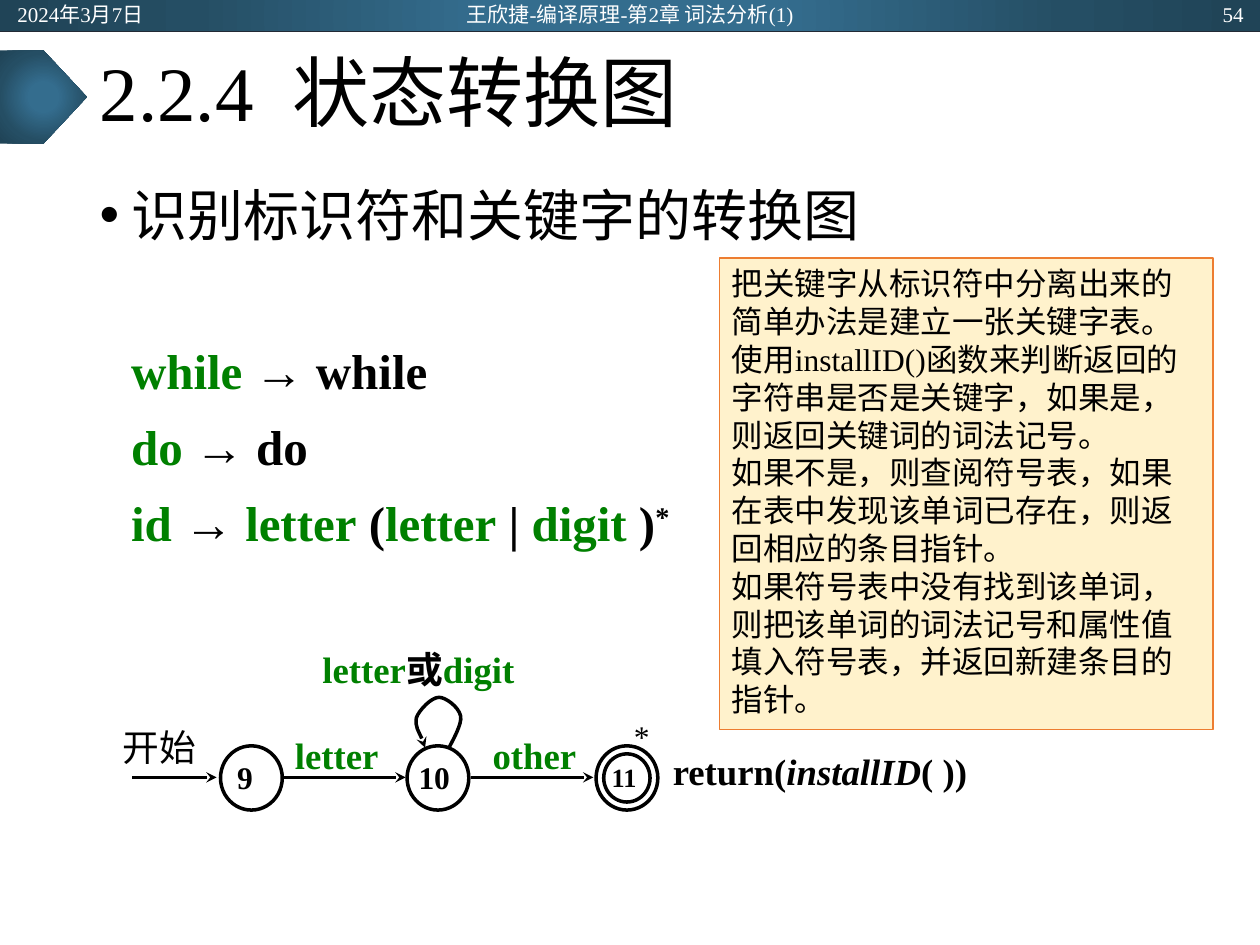
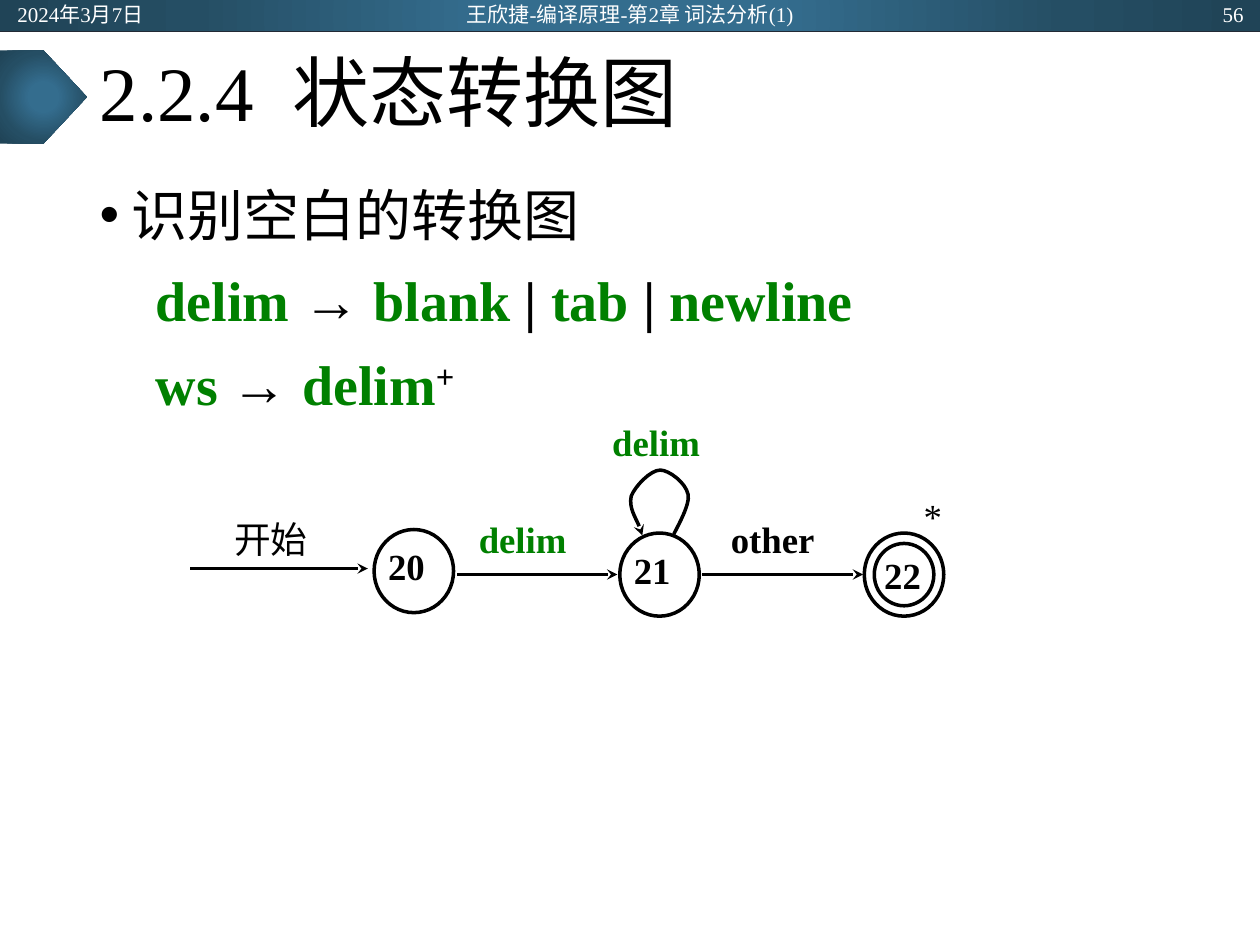
from lxml.etree import SubElement
from pptx import Presentation
from pptx.dml.color import RGBColor
from pptx.enum.shapes import MSO_CONNECTOR, MSO_SHAPE
from pptx.enum.text import MSO_ANCHOR, MSO_AUTO_SIZE, PP_ALIGN
from pptx.oxml import parse_xml
from pptx.oxml.ns import nsdecls, qn
from pptx.util import Pt

COLORS = {
    "text": "000000", "token": "008000", "white": "FFFFFF", "rule": "222A35",
    "note": "FFF2CC", "note_line": "ED7D31",
    "band_light": "346D8E", "band_mid": "254E64", "band_dark": "204457",
}
BAND_STOPS = [(0, "band_light"), (23, "band_light"), (69, "band_mid"), (97, "band_dark")]
TITLE = ["2.2.4", (" ", {"spc": "1100"}), "状态转换图"]
# Self-loop in a unit box: a start point, then three points per Bezier curve.
LOOP = [(.73, .98), (.78, .88), (1, .52), (.96, .37), (.92, .19), (.65, 0), (.51, 0),
        (.35, 0), (.1, .25), (.04, .4), (0, .58), (.2, .87), (.22, 1)]
LABEL_INSETS = (2.9, 1.4, 2.9, 1.4)
STATE_INSETS = (1.4, 1.4, 1.4, 2.9)
ACCEPT_INSETS = (.7, 0, .7, 0)


def rgb(name):
    return RGBColor.from_string(COLORS[name])


def token(text):
    """A run in the colour of grammar symbols."""
    return text, {"color": "token"}


def raised(text):
    return text, {"baseline": "30000"}


class Deck:
    """Holds the presentation style and the slide being drawn."""

    def __init__(self):
        self.prs = Presentation()
        self.prs.slide_width, self.prs.slide_height = Pt(720), Pt(540)
        self.s = None

    def add_runs(self, p, runs, **base):
        for run in [runs] if isinstance(runs, str) else runs:
            text, extra = (run, {}) if isinstance(run, str) else run
            r = p.add_run()
            r.text = text
            fmt = {"name": "Times New Roman", "color": "text", **base, **extra}
            for key, value in fmt.items():
                if key == "color":
                    r.font.color.rgb = rgb(value)
                elif key in ("spc", "baseline"):
                    r._r.get_or_add_rPr().set(key, value)
                else:
                    setattr(r.font, key, value)

    def frame(self, sp, insets=(7.2, 3.6, 7.2, 3.6), anchor=MSO_ANCHOR.TOP):
        tf = sp.text_frame
        sides = ("left", "top", "right", "bottom")
        fmt = {"word_wrap": True, "auto_size": MSO_AUTO_SIZE.NONE, "vertical_anchor": anchor,
               **{f"margin_{side}": Pt(v) for side, v in zip(sides, insets)}}
        for key, value in fmt.items():
            setattr(tf, key, value)
        return tf

    def shape(self, kind, x, y, w, h, fill=None, line=None, width=2):
        sp = self.s.shapes.add_shape(kind, Pt(x), Pt(y), Pt(w), Pt(h))
        return self.paint(sp, fill, line, width)

    def paint(self, sp, fill=None, line=None, width=2):
        sp.shadow.inherit = False
        if fill:
            sp.fill.solid()
            sp.fill.fore_color.rgb = rgb(fill)
        else:
            sp.fill.background()
        if line:
            sp.line.color.rgb = rgb(line)
            sp.line.width = Pt(width)
        else:
            sp.line.fill.background()
        return sp

    def glow(self, kind, x, y, w, h):
        """A shape with the radial blue gradient of the header."""
        spPr = self.shape(kind, x, y, w, h)._element.spPr
        stops = "".join(f'<a:gs pos="{pos * 1000}"><a:srgbClr val="{COLORS[c]}"/></a:gs>'
                        for pos, c in BAND_STOPS)
        spPr.replace(spPr.find(qn("a:noFill")), parse_xml(
            f'<a:gradFill {nsdecls("a")}><a:gsLst>{stops}</a:gsLst><a:path path="circle">'
            '<a:fillToRect l="50000" t="50000" r="50000" b="50000"/></a:path></a:gradFill>'))

    def stealth(self, line):
        SubElement(line._get_or_add_ln(), qn("a:tailEnd"), type="stealth")

    def line(self, x1, y1, x2, y2, color="text", width=2):
        cn = self.s.shapes.add_connector(MSO_CONNECTOR.STRAIGHT, Pt(x1), Pt(y1), Pt(x2), Pt(y2))
        cn.line.color.rgb = rgb(color)
        cn.line.width = Pt(width)
        SubElement(cn._element.spPr, qn("a:effectLst"))
        return cn

    def arrow(self, x1, x2, y):
        self.stealth(self.line(x1, y, x2, y).line)

    def label(self, x, y, w, h, runs, size=21, bold=True, insets=LABEL_INSETS):
        sp = self.s.shapes.add_textbox(Pt(x), Pt(y), Pt(w), Pt(h))
        self.add_runs(self.frame(sp, insets).paragraphs[0], runs, size=Pt(size), bold=bold)

    def state(self, x, y, w, h, number, size, accept=False, insets=STATE_INSETS):
        """A state circle; an accepting one has a second ring that holds the number."""
        sp = self.shape(MSO_SHAPE.OVAL, x, y, w, h, line="text")
        if accept:
            sp = self.shape(MSO_SHAPE.OVAL, x + w / 8, y + h / 8, w * .75, h * .75, line="text")
            insets = ACCEPT_INSETS
        p = self.frame(sp, insets).paragraphs[0]
        p.alignment = PP_ALIGN.LEFT
        self.add_runs(p, number, size=Pt(size), bold=True)

    def loop(self, x, y, w, h):
        pts = [(Pt(x + u * w), Pt(y + v * h)) for u, v in LOOP]
        fb = self.s.shapes.build_freeform(*pts[0])
        fb.add_line_segments(pts[1:], close=False)
        sp = self.paint(fb.convert_to_shape(), line="text")
        self.stealth(sp.line)
        outline = next(sp._element.iter(qn("a:path")))
        lines = list(outline.iter(qn("a:lnTo")))
        for i in range(0, len(lines), 3):
            curve = SubElement(outline, qn("a:cubicBezTo"))
            for segment in lines[i:i + 3]:
                curve.append(segment[0])
                outline.remove(segment)

    def place(self, sp, x, y, w, h):
        sp.left, sp.top, sp.width, sp.height = Pt(x), Pt(y), Pt(w), Pt(h)

    def header(self, number):
        self.glow(MSO_SHAPE.RECTANGLE, 0, 0, 720, 18)
        self.line(0, 18, 720, 18, "rule", .5)
        self.glow(MSO_SHAPE.PENTAGON, 0, 28.8, 49.7, 53.3)
        for x, w, text, align in [
            (2.9, 162, "2024年3月7日", PP_ALIGN.LEFT),
            (238.3, 243.4, "王欣捷-编译原理-第2章 词法分析(1)", PP_ALIGN.CENTER),
            (555.8, 162, number, PP_ALIGN.RIGHT),
        ]:
            sp = self.s.shapes.add_textbox(Pt(x), Pt(.7), Pt(w), Pt(14.4))
            p = self.frame(sp, (7.2, 0, 7.2, 0), MSO_ANCHOR.MIDDLE).paragraphs[0]
            p.alignment = align
            self.add_runs(p, text, size=Pt(12), color="white")

    def slide(self, number, heading):
        self.s = self.prs.slides.add_slide(self.prs.slide_layouts[1])
        self.header(number)
        title, body = self.s.placeholders
        self.place(title, 49.7, 18, 620.6, 74.9)
        p = self.frame(title, anchor=MSO_ANCHOR.MIDDLE).paragraphs[0]
        p.alignment, p.line_spacing = PP_ALIGN.LEFT, .9
        self.add_runs(p, TITLE, size=Pt(44))
        self.place(body, 49.7, 99.4, 620.6, 387.4)
        self.body = self.frame(body)
        self.item(self.body.paragraphs[0], heading, 32, 18, -18)

    def item(self, p, runs, size, left, indent=0, before=10, bold=False):
        p.space_before = Pt(before)
        pPr = p._p.get_or_add_pPr()
        pPr.set("marL", str(Pt(left)))
        pPr.set("indent", str(Pt(indent)))
        if not indent:
            SubElement(pPr, qn("a:buNone"))
        self.add_runs(p, runs, size=Pt(size), bold=bold)

    def rules(self, rows, size, left, first_gap=10):
        """Grammar rules below the heading, without bullets."""
        for i, runs in enumerate(rows):
            self.item(self.body.add_paragraph(), runs, size, left,
                      before=10 if i else first_gap, bold=True)

    def note(self, x, y, w, h, paragraphs):
        sp = self.shape(MSO_SHAPE.RECTANGLE, x, y, w, h, "note", "note_line", 1)
        tf = self.frame(sp)
        for i, text in enumerate(paragraphs):
            p = tf.add_paragraph() if i else tf.paragraphs[0]
            p.alignment = PP_ALIGN.LEFT
            self.add_runs(p, text, size=Pt(18))


def identifier_slide(deck):
    deck.slide("54", "识别标识符和关键字的转换图")
    deck.rules([
        [token("while "), "→ while"],
        [token("do "), "→ do"],
        [token("id "), "→ ", token("letter"), " (", token("letter"), " | ",
         token("digit"), " )", raised("*")],
    ], 28, 18, first_gap=53)
    deck.state(126, 426.2, 35.3, 36.7, "9", 18, insets=(4.3, 1.4, 5, 2.9))
    deck.state(232.6, 426.2, 35.3, 36.7, "10", 18)
    deck.state(340.6, 426.2, 35.3, 36.7, "11", 15, accept=True)
    for x1, x2 in [(75.6, 123.8), (161.3, 231.8), (269.3, 339.1)]:
        deck.arrow(x1, x2, 444.2)
    deck.loop(236.9, 398.5, 27.4, 28.8)
    deck.label(67, 412.6, 56.9, 28, "开始", bold=False)
    deck.label(165.6, 417.6, 58.3, 26.6, [token("letter")])
    deck.label(278.6, 417.6, 58.3, 31, [token("other")])
    deck.label(359.3, 408.2, 18, 18.7, "*", size=18, bold=False)
    deck.label(181.4, 367.9, 143.3, 34.6, [token("letter"), "或", token("digit")])
    deck.label(381.6, 426.2, 180, 27.4, ["return(", ("installID", {"italic": True}), "( ))"])
    deck.note(411.1, 147.6, 282.2, 269.3, [
        "把关键字从标识符中分离出来的简单办法是建立一张关键字表。",
        "使用installID()函数来判断返回的字符串是否是关键字，如果是，则返回关键词的词法记号。",
        "如果不是，则查阅符号表，如果在表中发现该单词已存在，则返回相应的条目指针。",
        "如果符号表中没有找到该单词，则把该单词的词法记号和属性值填入符号表，并返回新建条目的指针。",
    ])


def whitespace_slide(deck):
    deck.slide("56", "识别空白的转换图")
    deck.rules([
        [token("delim "), "→ ", token("blank"), " | ", token("tab"), " | ", token("newline")],
        [token("ws "), "→ ", token("delim"), raised("+")],
    ], 32, 32)
    deck.state(213.8, 302.6, 45.4, 47.5, "20", 21)
    deck.state(354.2, 304.6, 45.4, 47.5, "21", 21)
    deck.state(493.9, 304.6, 45.4, 47.5, "22", 21, accept=True)
    for x1, x2, y in [(108.7, 210.2, 324.9), (261.4, 352.8, 328.3), (401, 493.2, 328.3)]:
        deck.arrow(x1, x2, y)
    deck.loop(359.3, 268.6, 35.3, 37.4)
    deck.label(131, 293.8, 74.2, 45.4, "开始", bold=False)
    deck.label(270.7, 293.8, 96.5, 45.4, [token("delim")])
    deck.label(414.7, 293.8, 96.5, 45.4, "other")
    deck.label(524.9, 280.8, 33.8, 45.4, "*", bold=False)
    deck.label(347, 239.8, 82.1, 31.7, [token("delim")], insets=(2.9, 0, 2.9, 0))


def main():
    deck = Deck()
    identifier_slide(deck)
    whitespace_slide(deck)
    deck.prs.save("out.pptx")


if __name__ == "__main__":
    main()
